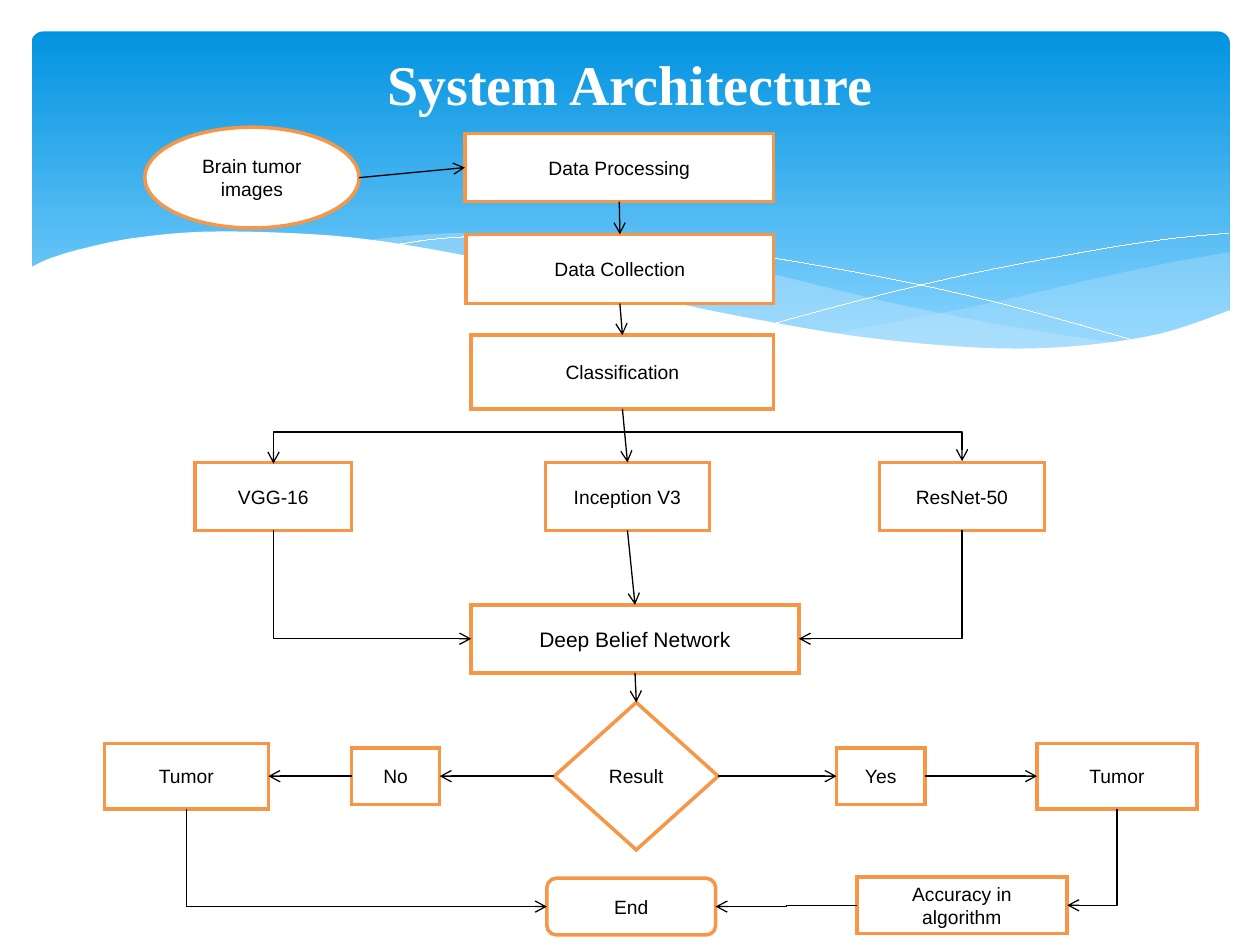
from dataclasses import dataclass

from lxml.etree import SubElement
from pptx import Presentation
from pptx.dml.color import RGBColor
from pptx.enum.shapes import MSO_CONNECTOR as Link, MSO_SHAPE as Preset
from pptx.enum.text import MSO_ANCHOR as Anchor, PP_ALIGN as Align
from pptx.oxml.ns import qn
from pptx.util import Inches, Pt

COLUMNS, ROWS = 100, 75
CELL = Inches(10) // COLUMNS
SITES = {"top": 0, "left": 1, "bottom": 2, "right": 3}
ELLIPSE_RIGHT = "6"
WHITE, BLACK, ORANGE, PALE = "FFFFFF", "000000", "F79646", "C6E7FC"


@dataclass(frozen=True)
class Step:
    """A box of the flow chart, measured in grid cells."""
    key: str
    label: str
    left: float
    top: float
    width: float
    height: float
    preset: Preset = Preset.RECTANGLE
    size: int = 11
    margin: float = 1.1

    def site(self, side: str) -> tuple[float, float]:
        """Return the middle of one side."""
        across = {"left": 0, "right": 1}.get(side, 0.5)
        down = {"top": 0, "bottom": 1}.get(side, 0.5)
        return self.left + across * self.width, self.top + down * self.height


@dataclass(frozen=True)
class Flow:
    """A glued arrow between two steps."""
    source: str
    exit: str
    target: str
    entry: str
    route: Link = Link.STRAIGHT


@dataclass(frozen=True)
class Band:
    """A translucent wave with an upper and a lower edge."""
    upper: list
    lower: list
    alpha: int


STEPS = [
    Step("processing", "Data Processing", 36.9, 10.6, 24.5, 5.4),
    Step("collection", "Data Collection", 37, 18.6, 24.4, 5.5),
    Step("images", "Brain tumor images", 11.5, 10.1, 17, 8, Preset.OVAL),
    Step("classification", "Classification", 37.4, 26.6, 24, 5.85),
    Step("vgg", "VGG-16", 15.5, 36.7, 12.4, 5.4),
    Step("inception", "Inception V3", 43.3, 36.7, 13, 5.4),
    Step("resnet", "ResNet-50", 69.8, 36.7, 13.1, 5.4),
    Step("result", "Result", 44, 55.75, 13, 11.7, Preset.FLOWCHART_DECISION, margin=0.3),
    Step("no tumor", "Tumor", 8.3, 59, 13, 5.2),
    Step("yes tumor", "Tumor", 82.3, 59, 12.7, 5.2),
    Step("end", "End", 43.4, 69.7, 13.4, 4.5, Preset.ROUNDED_RECTANGLE),
    Step("no", "No", 27.9, 59.35, 7, 4.5),
    Step("belief", "Deep Belief Network", 37.4, 48, 26, 5.4, size=12),
    Step("yes", "Yes", 66.4, 59.35, 7, 4.5),
    Step("accuracy", "Accuracy in algorithm", 68, 69.6, 16.7, 4.5),
]
FLOWS = [
    Flow("images", "right", "processing", "left"),
    Flow("processing", "bottom", "collection", "top"),
    Flow("collection", "bottom", "classification", "top"),
    Flow("classification", "bottom", "inception", "top"),
    Flow("inception", "bottom", "belief", "top"),
    Flow("belief", "bottom", "result", "top"),
    Flow("result", "right", "yes", "left"),
    Flow("result", "left", "no", "right"),
    Flow("no", "left", "no tumor", "right"),
    Flow("yes", "right", "yes tumor", "left"),
    Flow("accuracy", "left", "end", "right", Link.ELBOW),
]
CORNERS = [("vgg", "belief", "left"), ("resnet", "belief", "right"),
           ("no tumor", "end", "left"), ("yes tumor", "accuracy", "right")]
BANDS = [
    Band([(97.6, 20), (92.1, 21), (86.1, 22.3), (77.9, 24.2), (66.1, 26.5)],
         [(66.1, 26.5), (74.5, 27.5), (81.4, 27.8), (88.1, 27.3), (93.5, 26.2), (97.6, 24.7)], 29),
    Band([(89.3, 27.3), (80.7, 26), (70.6, 24), (59.8, 21.4), (51.4, 19.8),
          (44.2, 18.9), (36.1, 18.5), (28.6, 19.1)],
         [(28.6, 19.1), (36.2, 20.3), (44.9, 22.2), (56.6, 24.8), (66.5, 26.6),
          (74.8, 27.6), (81.8, 27.8), (89.3, 27.3)], 40),
]
STRANDS = [
    [(30.9, 19.5), (35.3, 18.9), (41.6, 18.7), (48.9, 19), (58.2, 20),
     (69.5, 21.9), (79.5, 24.1), (90.7, 27.2)],
    [(61.3, 25.7), (69.5, 23.5), (77.6, 21.6), (86.6, 19.9), (92.4, 19), (97.5, 18.5)],
]
HORIZON = [(97.7, 24.6), (92, 26.5), (85, 27.5), (77.8, 27.6), (68.8, 26.8), (60.3, 25.4),
           (52.9, 23.9), (44.7, 22), (36.5, 20.2), (29.2, 19), (23, 18.5), (16.1, 18.4),
           (10.6, 18.9), (6.7, 19.7), (4, 20.5), (2.3, 21.3)]


def color(value: str) -> RGBColor:
    """Turn a hex string into a colour."""
    return RGBColor.from_string(value)


def grid(*cells: float) -> list[int]:
    """Convert grid cells into slide units."""
    return [round(cell * CELL) for cell in cells]


def smooth(knots: list, steps: int = 8) -> list:
    """Run a Catmull-Rom curve through the knots."""
    ends = [knots[0], *knots, knots[-1]]
    curve = [knots[0]]
    for a, b, c, d in zip(ends, ends[1:], ends[2:], ends[3:]):
        for t in (i / steps for i in range(1, steps + 1)):
            curve.append(tuple(
                0.5 * (2 * q + (r - p) * t + (2 * p - 5 * q + 4 * r - s) * t ** 2
                       + (3 * q - p - 3 * r + s) * t ** 3)
                for p, q, r, s in zip(a, b, c, d)))
    return curve


def write_text(frame, text: str, *, size: int, font: str = "Arial", ink: str = BLACK,
               bold: bool = False, margin: float = 1) -> None:
    """Write one centred paragraph into a text frame."""
    frame.word_wrap = True
    frame.vertical_anchor = Anchor.MIDDLE
    frame.margin_left = frame.margin_right = round(margin * CELL)
    paragraph = frame.paragraphs[0]
    paragraph.alignment = Align.CENTER
    run = paragraph.add_run()
    run.text = text
    run.font.size, run.font.name, run.font.bold = Pt(size), font, bold
    run.font.color.rgb = color(ink)


def draw_outline(shapes, points: list, fill: str = "", alpha: int = 100) -> None:
    """Draw a filled area, or a white hairline when no fill is given."""
    builder = shapes.build_freeform(*grid(*points[0]))
    builder.add_line_segments([grid(*point) for point in points[1:]], close=bool(fill))
    outline = builder.convert_to_shape()
    outline.shadow.inherit = False
    if not fill:
        outline.fill.background()
        outline.line.color.rgb = color(WHITE)
        outline.line.width = Pt(0.01)
        return
    outline.line.fill.background()
    outline.fill.solid()
    outline.fill.fore_color.rgb = color(fill)
    if alpha < 100:
        shade = outline.fill._xPr.find(qn("a:solidFill"))[0]
        SubElement(shade, qn("a:alpha")).set("val", str(alpha * 1000))


def draw_backdrop(shapes) -> None:
    """Draw the blue panel and its waves."""
    panel = shapes.add_shape(Preset.ROUNDED_RECTANGLE, *grid(2.5, 2.5, 95.1, 27))
    panel.adjustments[0] = 0.034
    panel.shadow.inherit = False
    panel.line.fill.background()
    panel.fill.gradient()
    panel.fill.gradient_angle = 270
    for stop, place, shade in zip(panel.fill.gradient_stops, (0, 0.9), ("0293E0", "83D3FE")):
        stop.position, stop.color.rgb = place, color(shade)
    for band in BANDS:
        draw_outline(shapes, smooth(band.upper) + smooth(band.lower), PALE, band.alpha)
    for strand in STRANDS:
        draw_outline(shapes, smooth(strand))
    draw_outline(shapes, smooth(HORIZON) + [(2.3, 32.9), (97.7, 32.9)], WHITE)


def draw_step(shapes, step: Step):
    """Draw one step and return its shape."""
    box = shapes.add_shape(step.preset, *grid(step.left, step.top, step.width, step.height))
    box.shadow.inherit = False
    box.fill.solid()
    box.fill.fore_color.rgb = color(WHITE)
    box.line.color.rgb = color(ORANGE)
    box.line.width = Pt(2)
    SubElement(box.line._get_or_add_ln(), qn("a:miter")).set("lim", "800000")
    write_text(box.text_frame, step.label, size=step.size, margin=step.margin)
    return box


def draw_arrow(shapes, route: Link, start: tuple, finish: tuple, ends: tuple = ("tailEnd",)):
    """Draw a thin black connector with open arrowheads."""
    arrow = shapes.add_connector(route, *grid(*start, *finish))
    arrow.line.color.rgb = color(BLACK)
    arrow.line.width = Pt(0.75)
    for end in ends:
        SubElement(arrow.line._get_or_add_ln(), qn(f"a:{end}")).set("type", "arrow")
    SubElement(arrow._element.spPr, qn("a:effectLst"))
    return arrow


def turn_arrow(arrow, start: tuple, finish: tuple, preset: str, turn: int, **flips: str) -> None:
    """Rotate an elbow so that it leaves its start vertically."""
    across, down = abs(finish[0] - start[0]), abs(finish[1] - start[1])
    middle_x, middle_y = (start[0] + finish[0]) / 2, (start[1] + finish[1]) / 2
    arrow.left, arrow.top, arrow.width, arrow.height = grid(
        middle_x - down / 2, middle_y - across / 2, down, across)
    frame = arrow._element.spPr.find(qn("a:xfrm"))
    for flip in ("flipH", "flipV"):
        frame.set(flip, flips.get(flip, "0"))
    frame.set("rot", str(turn * 60000))
    arrow._element.spPr.find(qn("a:prstGeom")).set("prst", preset)


def draw_flows(shapes, steps: dict, boxes: dict) -> None:
    """Connect the steps with glued, cornered and branching arrows."""
    for flow in FLOWS:
        arrow = draw_arrow(shapes, flow.route, steps[flow.source].site(flow.exit),
                           steps[flow.target].site(flow.entry))
        arrow.begin_connect(boxes[flow.source], SITES[flow.exit])
        arrow.end_connect(boxes[flow.target], SITES[flow.entry])
        if steps[flow.source].preset == Preset.OVAL:
            next(arrow._element.iter(qn("a:stCxn"))).set("idx", ELLIPSE_RIGHT)
    for source, target, side in CORNERS:
        start, finish = steps[source].site("bottom"), steps[target].site(side)
        arrow = draw_arrow(shapes, Link.ELBOW, start, finish)
        turn, flips = (270, {"flipH": "1"}) if side == "left" else (90, {})
        turn_arrow(arrow, start, finish, "bentConnector2", turn, **flips)
    (left, top), (right, _) = steps["vgg"].site("top"), steps["resnet"].site("top")
    start, finish = (left, top + 0.1), (right, top - 0.1)
    branch = draw_arrow(shapes, Link.ELBOW, start, finish, ("headEnd", "tailEnd"))
    turn_arrow(branch, start, finish, "bentConnector3", 90, flipH="1", flipV="1")
    bend = SubElement(next(branch._element.iter(qn("a:avLst"))), qn("a:gd"))
    bend.set("name", "adj1")
    bend.set("fmla", "val 1250000")


def main() -> None:
    """Build the slide and save it."""
    deck = Presentation()
    deck.slide_width, deck.slide_height = CELL * COLUMNS, CELL * ROWS
    shapes = deck.slides.add_slide(deck.slide_layouts[6]).shapes
    draw_backdrop(shapes)
    heading = shapes.add_textbox(*grid(19.3, 1.3, 61.4, 10.6))
    write_text(heading.text_frame, "System Architecture", size=32,
               font="Times New Roman", ink=WHITE, bold=True)
    boxes = {step.key: draw_step(shapes, step) for step in STEPS}
    draw_flows(shapes, {step.key: step for step in STEPS}, boxes)
    deck.save("out.pptx")


if __name__ == "__main__":
    main()
